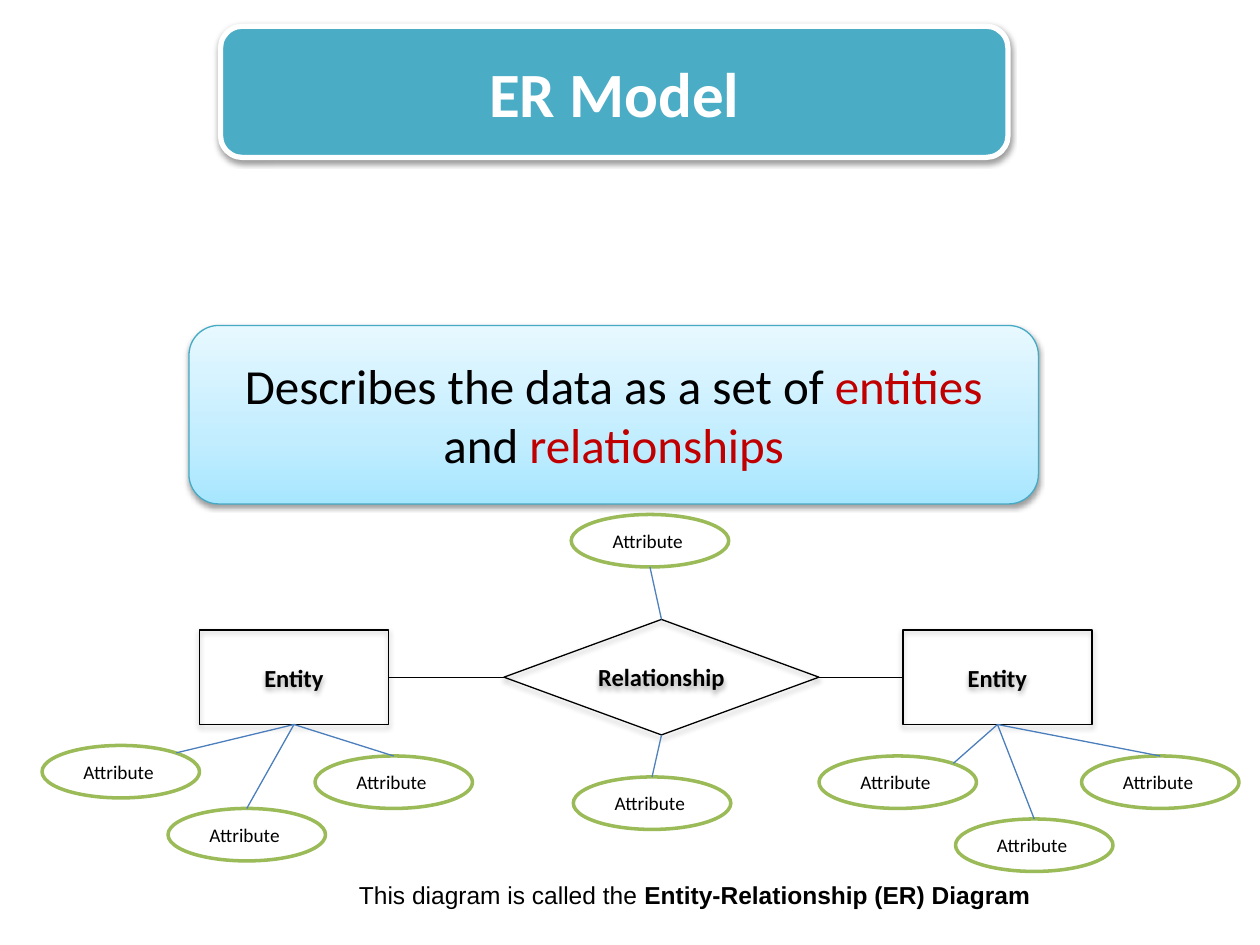
from copy import deepcopy
from pptx import Presentation
from pptx.dml.color import RGBColor
from pptx.enum.shapes import MSO_CONNECTOR, MSO_SHAPE as SHAPE
from pptx.enum.text import MSO_ANCHOR, PP_ALIGN
from pptx.oxml import parse_xml
from pptx.oxml.ns import nsdecls, qn
from pptx.util import Pt

PX = 7620
SHADOW = ('<a:effectLst %s><a:outerShdw blurRad="40000" dist="{}" dir="5400000" rotWithShape="0">'
          '<a:srgbClr val="000000"><a:alpha val="{}"/></a:srgbClr></a:outerShdw></a:effectLst>'
          % nsdecls("a"))
rgb = RGBColor.from_string


def write(shape, runs, size, font="Calibri", bold=False, align=PP_ALIGN.CENTER, wrap=True):
    frame = shape.text_frame
    frame.word_wrap = wrap
    frame.vertical_anchor = MSO_ANCHOR.MIDDLE
    paragraph = frame.paragraphs[0]
    paragraph.alignment = align
    for text, color, strong in runs:
        run = paragraph.add_run()
        run.text = text
        run.font.name = font
        run.font.size = Pt(size)
        run.font.bold = bold or strong
        run.font.color.rgb = rgb(color)


def draw(kind, box, line, width, fill=None, shadow=None):
    shape = slide.shapes.add_shape(kind, *[v * PX for v in box])
    shape.shadow.inherit = False
    shape.line.color.rgb = rgb(line)
    shape.line.width = Pt(width)
    if fill:
        shape.fill.solid()
        shape.fill.fore_color.rgb = rgb(fill)
    else:
        shape.fill.background()
    if shadow:
        properties = shape._element.spPr
        properties.replace(properties.find(qn("a:effectLst")), parse_xml(SHADOW.format(*shadow)))
    return shape


prs = Presentation()
prs.slide_width, prs.slide_height = 1200 * PX, 900 * PX
slide = prs.slides.add_slide(prs.slide_layouts[6])

title = draw(SHAPE.ROUNDED_RECTANGLE, (210, 25, 750, 125), "FFFFFF", 3, "4BACC6", (20000, 38000))
write(title, [("ER Model", "FFFFFF", True)], 36)

definition = draw(SHAPE.ROUNDED_RECTANGLE, (180, 310, 809, 170), "46AAC5", 0.75, None, (20000, 38000))
definition.fill.gradient()
definition.fill.gradient_angle = 90
stop_list = definition._element.spPr.find(".//" + qn("a:gsLst"))
stop_list.insert(1, deepcopy(stop_list[0]))
shades = [(0, "A7E6FF"), (0.35, "C1EDFF"), (1, "E7F8FF")]
for stop, (position, color) in zip(definition.fill.gradient_stops, shades):
    stop.position = position
    stop.color.rgb = rgb(color)
write(definition, [("Describes the data as a set of ", "000000", False), ("entities", "C00000", False),
                   (" and ", "000000", False), ("relationships", "C00000", False)], 28)

nodes = []
for kind, box, label in [
    (SHAPE.RECTANGLE, (190, 600, 180, 90), "Entity"),
    (SHAPE.RECTANGLE, (860, 600, 180, 90), "Entity"),
    (SHAPE.DIAMOND, (480, 590, 300, 110), "Relationship"),
]:
    node = draw(kind, box, "000000", 0.75, None, (23000, 35000))
    write(node, [(label, "000000", True)], 14)
    nodes.append(node)
left_entity, right_entity, relationship = nodes

attributes = []
for x, y in [(40, 710), (160, 770), (300, 720), (780, 720), (910, 780), (1030, 720), (546, 740), (544, 490)]:
    attribute = draw(SHAPE.OVAL, (x, y, 150, 50), "9BBB59", 2, "FFFFFF")
    write(attribute, [("Attribute ", "000000", False)], 11)
    attributes.append(attribute)
left_outer, left_low, left_inner, right_inner, right_low, right_outer, below, above = attributes

for start, end, color in [
    ((relationship, 3), (right_entity, 1), "000000"),
    ((relationship, 1), (left_entity, 3), "000000"),
    ((168, 717), (left_entity, 2), "4B7EBC"),
    ((left_low, 0), (left_entity, 2), "4B7EBC"),
    ((left_inner, 0), (left_entity, 2), "4B7EBC"),
    ((908, 727), (right_entity, 2), "4B7EBC"),
    ((right_low, 0), (right_entity, 2), "4B7EBC"),
    ((right_outer, 0), (right_entity, 2), "4B7EBC"),
    ((619, 540), (relationship, 0), "4F81BD"),
    ((below, 0), (relationship, 2), "4F81BD"),
]:
    joined = not isinstance(start[0], int)
    x, y = (0, 0) if joined else start
    link = slide.shapes.add_connector(MSO_CONNECTOR.STRAIGHT, x * PX, y * PX, x * PX, y * PX)
    if joined:
        link.begin_connect(*start)
    link.end_connect(*end)
    link.line.color.rgb = rgb(color)
    link.line.width = Pt(0.75)
    link._element.spPr.append(parse_xml("<a:effectLst %s/>" % nsdecls("a")))

caption = slide.shapes.add_textbox(330 * PX, 832 * PX, 668 * PX, 40 * PX)
write(caption, [("This diagram is called the ", "000000", False),
                ("Entity-Relationship (ER) Diagram", "000000", True)],
      14, font="Arial", align=PP_ALIGN.LEFT, wrap=False)

prs.save("out.pptx")
